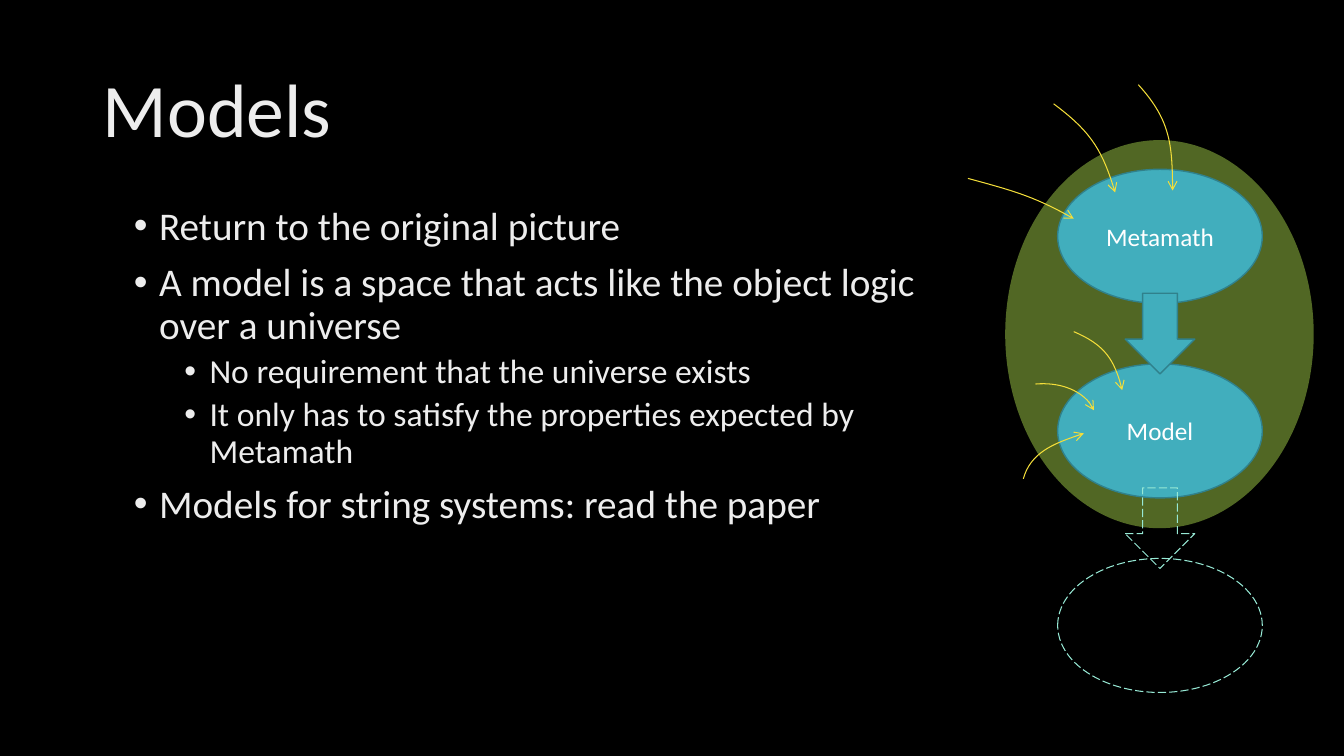
from dataclasses import dataclass
from typing import Any, NamedTuple, Optional

from lxml.etree import SubElement
from pptx import Presentation
from pptx.dml.color import RGBColor
from pptx.enum.dml import MSO_LINE
from pptx.enum.shapes import MSO_SHAPE
from pptx.enum.text import MSO_ANCHOR, MSO_AUTO_SIZE, PP_ALIGN
from pptx.oxml.ns import qn
from pptx.util import Inches, Pt


@dataclass(frozen=True)
class Theme:
    font: str = "Calibri"
    back: str = "000000"
    text: str = "EDEDED"
    label: str = "FFFFFF"
    logic: str = "A2CF49"
    node: str = "41AEBD"
    edge: str = "30818C"
    curve: str = "F4DE3A"
    ghost: str = "97E9D5"
    title: int = 54
    levels: tuple = (28, 24)
    small: int = 18
    thin: float = 0.75


class Box(NamedTuple):
    left: float
    top: float
    width: float
    height: float


@dataclass(frozen=True)
class Shape:
    kind: MSO_SHAPE
    box: Box
    text: str = ""
    ghost: bool = False


class Curve(NamedTuple):
    """Start, two control points and end of a cubic curve."""
    start: tuple
    pull: tuple
    push: tuple
    end: tuple


class Item(NamedTuple):
    text: str
    level: int = 0


THEME = Theme()
STEP = 1.93


def oval(row: int, text: str = "", ghost: bool = False) -> Shape:
    return Shape(MSO_SHAPE.OVAL, Box(10.49, 1.68 + row * STEP, 2.03, 1.33), text, ghost)


def arrow(row: int, ghost: bool = False) -> Shape:
    return Shape(MSO_SHAPE.DOWN_ARROW, Box(11.16, 2.91 + row * STEP, 0.69, 0.8), ghost=ghost)


ITEMS = [
    Item("Return to the original picture"),
    Item("A model is a space that acts like the object logic over a universe"),
    Item("No requirement that the universe exists", 1),
    Item("It only has to satisfy the properties expected by Metamath", 1),
    Item("Models for string systems: read the paper"),
]
NODES = [oval(0, "Metamath"), oval(1, "Model"), arrow(0), oval(2, ghost=True), arrow(1, ghost=True)]
CURVES = [
    Curve((10.45, 1.03), (10.8, 1.29), (10.94, 1.5), (11.06, 1.91)),
    Curve((9.6, 1.77), (10.04, 1.89), (10.26, 1.95), (10.65, 2.17)),
    Curve((11.29, 0.84), (11.59, 1.17), (11.63, 1.44), (11.63, 1.89)),
    Curve((10.27, 3.81), (10.5, 3.79), (10.78, 3.89), (10.85, 4.07)),
    Curve((10.15, 4.75), (10.22, 4.49), (10.53, 4.37), (10.75, 4.3)),
    Curve((10.65, 3.29), (10.93, 3.41), (11.06, 3.57), (11.13, 3.87)),
]


def put(target: Any, values: dict) -> None:
    for name, value in values.items():
        setattr(target, name, value)


def style(font: Any, size: float, color: str) -> None:
    put(font, {"name": THEME.font, "size": Pt(size)})
    font.color.rgb = RGBColor.from_string(color)


def paint(shape: Any, fill: Optional[str], line: Optional[str], width: float = 1) -> None:
    """Fill and outline a shape; None leaves that part empty."""
    shape.shadow.inherit = False
    for part, color in ((shape.fill, fill), (shape.line.fill, line)):
        if color is None:
            part.background()
        else:
            part.solid()
            part.fore_color.rgb = RGBColor.from_string(color)
    if line:
        shape.line.width = Pt(width)


def place(slide: Any, kind: MSO_SHAPE, box: Box) -> Any:
    return slide.shapes.add_shape(kind, *map(Inches, box))


def add_title(slide: Any, text: str) -> None:
    title = slide.shapes.title
    put(title, dict(zip(Box._fields, map(Inches, (0.92, 0.4, 11.5, 1.45)))))
    frame = title.text_frame
    frame.text = text
    put(frame, {"vertical_anchor": MSO_ANCHOR.MIDDLE, "auto_size": MSO_AUTO_SIZE.NONE})
    par = frame.paragraphs[0]
    put(par, {"alignment": PP_ALIGN.LEFT, "line_spacing": 0.9})
    style(par.font, THEME.title, THEME.text)


def add_list(slide: Any, items: list) -> None:
    frame = slide.shapes.add_textbox(*map(Inches, (1.23, 2, 8.01, 4.76))).text_frame
    frame.word_wrap = True
    for spot, item in enumerate(items):
        par = frame.add_paragraph() if spot else frame.paragraphs[0]
        par.text = item.text
        before = Pt(5 if item.level else 10) if spot else Pt(0)
        put(par, {"level": item.level, "line_spacing": 0.9, "space_before": before})
        props = par._p.get_or_add_pPr()
        props.set("marL", str(Inches(0.25 + 0.5 * item.level)))
        props.set("indent", str(Inches(-0.25)))
        SubElement(props, qn("a:buFont"), typeface="Arial")
        SubElement(props, qn("a:buChar"), char="•")
        style(par.font, THEME.levels[item.level], THEME.text)


def add_logic(slide: Any) -> None:
    """Draw the half-transparent oval behind the nodes."""
    shape = place(slide, MSO_SHAPE.OVAL, Box(9.97, 1.39, 3.06, 3.85))
    paint(shape, THEME.logic, None)
    color = shape._element.spPr.find(qn("a:solidFill"))[0]
    SubElement(color, qn("a:alpha"), val="50000")


def add_node(slide: Any, node: Shape) -> None:
    shape = place(slide, node.kind, node.box)
    if node.ghost:
        paint(shape, None, THEME.ghost, THEME.thin)
        shape.line.dash_style = MSO_LINE.LONG_DASH
    else:
        paint(shape, THEME.node, THEME.edge)
    if node.text:
        frame = shape.text_frame
        frame.text = node.text
        frame.vertical_anchor = MSO_ANCHOR.MIDDLE
        par = frame.paragraphs[0]
        par.alignment = PP_ALIGN.CENTER
        style(par.font, THEME.small, THEME.label)


def add_curve(slide: Any, curve: Curve) -> None:
    """Build the outline, then join its three segments into one cubic."""
    start, *rest = [tuple(map(Inches, point)) for point in curve]
    pen = slide.shapes.build_freeform(*start)
    pen.add_line_segments(rest, close=False)
    shape = pen.convert_to_shape()
    lines = list(shape._element.iter(qn("a:lnTo")))
    track = lines[0].getparent()
    cubic = SubElement(track, qn("a:cubicBezTo"))
    for line in lines:
        cubic.append(line[0])
        track.remove(line)
    paint(shape, None, THEME.curve, THEME.thin)
    SubElement(shape.line._get_or_add_ln(), qn("a:tailEnd"), type="arrow")


def main() -> None:
    deck = Presentation()
    put(deck, {"slide_width": Inches(13.33), "slide_height": Inches(7.5)})
    slide = deck.slides.add_slide(deck.slide_layouts[5])
    slide.background.fill.solid()
    slide.background.fill.fore_color.rgb = RGBColor.from_string(THEME.back)
    add_title(slide, "Models")
    add_list(slide, ITEMS)
    add_logic(slide)
    for node in NODES:
        add_node(slide, node)
    for curve in CURVES:
        add_curve(slide, curve)
    deck.save("out.pptx")


if __name__ == "__main__":
    main()
